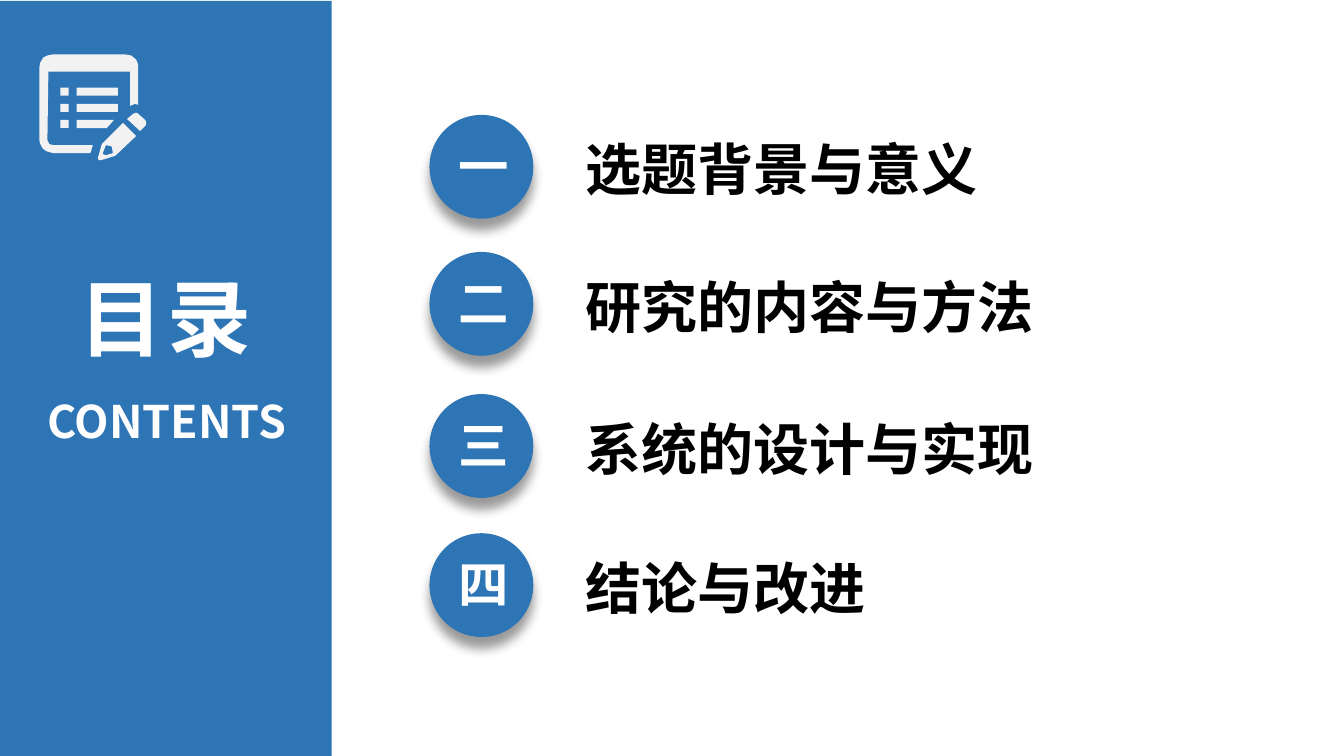
from lxml.etree import SubElement
from pptx import Presentation
from pptx.dml.color import RGBColor
from pptx.enum.shapes import MSO_SHAPE
from pptx.enum.text import MSO_ANCHOR, MSO_AUTO_SIZE, PP_ALIGN
from pptx.oxml.ns import qn
from pptx.util import Inches, Pt

COLORS = {"blue": "2E75B6", "white": "FFFFFF", "black": "000000", "icon": "F2F2F2"}
FONT = "Noto Sans CJK SC"
CHAPTERS = [
    ("一", "选题背景与意义", 1.14),
    ("二", "研究的内容与方法", 2.5),
    ("三", "系统的设计与实现", 3.91),
    ("四", "结论与改进", 5.29),
]
PAGE_FRAME = [
    (92, 144), (90, 151), (89, 152), (53, 152), (46, 150), (42, 147), (40, 143),
    (39, 139), (39, 67), (40, 62), (43, 57), (47, 55), (52, 54), (124, 54),
    (130, 55), (135, 59), (137, 64), (137, 104), (134, 103), (129, 105),
    (129, 71), (48, 71), (47, 139), (49, 143), (53, 144),
]
PENCIL_BODY = [
    (122, 122), (135, 135), (115, 154), (113, 155), (100, 159), (98, 159),
    (97, 157), (101, 143), (102, 142),
]
PENCIL_TIP = [
    (105, 144), (102, 152), (102, 153), (105, 154), (112, 152), (111, 146), (110, 145),
]
PENCIL_END = [
    (126, 118), (132, 113), (134, 112), (136, 112), (144, 119), (145, 121),
    (145, 123), (144, 125), (139, 130),
]
LAST_LINE = [(76, 119), (113, 119), (106, 127), (76, 127)]


def paint(shape, color):
    """Give a shape a plain fill without outline or inherited shadow."""
    shape.shadow.inherit = False
    shape.fill.solid()
    shape.fill.fore_color.rgb = RGBColor.from_string(COLORS[color])
    shape.line.fill.background()


def add_block(shapes, preset, box, color):
    """Add a filled preset shape at box, given in inches."""
    block = shapes.add_shape(preset, *map(Inches, box))
    paint(block, color)
    return block


def add_outline(shapes, *contours):
    """Add an icon part from closed contours in hundredths of an inch."""
    first, *holes = contours
    builder = shapes.build_freeform(*first[0], scale=Inches(0.01))
    builder.add_line_segments(first[1:], close=True)
    for hole in holes:
        builder.move_to(*hole[0])
        builder.add_line_segments(hole[1:], close=True)
    paint(builder.convert_to_shape(), "icon")


def add_icon(slide):
    """Draw the notepad with list lines and pencil."""
    icon = slide.shapes.add_group_shape().shapes
    add_outline(icon, PAGE_FRAME)
    add_outline(icon, PENCIL_BODY, PENCIL_TIP)
    add_outline(icon, PENCIL_END)
    add_outline(icon, LAST_LINE)
    for top in (0.87, 1.03):
        add_block(icon, MSO_SHAPE.RECTANGLE, (0.76, top, 0.41, 0.08), "icon")
    for top in (0.87, 1.03, 1.19):
        add_block(icon, MSO_SHAPE.RECTANGLE, (0.6, top, 0.08, 0.08), "icon")


def add_drop_shadow(shape):
    """Cast a soft black shadow straight down."""
    effects = shape._element.spPr.find(qn("a:effectLst"))
    shadow = SubElement(
        effects, qn("a:outerShdw"), blurRad=str(Pt(8)), dist=str(Pt(8)),
        dir="5400000", algn="t", rotWithShape="0",
    )
    black = SubElement(shadow, qn("a:srgbClr"), val=COLORS["black"])
    SubElement(black, qn("a:alpha"), val="40000")


def write(holder, text, size, color, align=PP_ALIGN.CENTER):
    """Write one bold paragraph into a text holder and return it."""
    frame = holder.text_frame
    frame.word_wrap = True
    frame.auto_size = MSO_AUTO_SIZE.SHAPE_TO_FIT_TEXT
    frame.vertical_anchor = MSO_ANCHOR.TOP
    paragraph = frame.paragraphs[0]
    paragraph.text = text
    paragraph.alignment = align
    font = paragraph.font
    font.name, font.size, font.bold = FONT, Pt(size), True
    font.color.rgb = RGBColor.from_string(COLORS[color])
    SubElement(paragraph._p.pPr.find(qn("a:defRPr")), qn("a:ea"), typeface=FONT)
    return paragraph


def add_label(slide, box, *style):
    """Add a text box at box, given in inches, and return its paragraph."""
    return write(slide.shapes.add_textbox(*map(Inches, box)), *style)


def add_heading(slide):
    """Place the title and its English subtitle on the side panel."""
    title = slide.shapes.title
    title.left, title.top, title.width, title.height = map(Inches, (0.45, 2.59, 2.38, 1.11))
    heading = write(title, "目录", 60, "white")
    heading._p.pPr.find(qn("a:defRPr")).set("spc", "300")
    subtitle = add_label(slide, (0.26, 3.59, 2.79, 0.91), "CONTENTS", 32, "white")
    subtitle.line_spacing = 1.5


def add_chapter(slide, numeral, name, top):
    """Add one numbered chapter of the contents."""
    badge = add_block(slide.shapes, MSO_SHAPE.OVAL, (4.26, top, 1.03, 1.03), "blue")
    add_drop_shadow(badge)
    add_label(slide, (4.43, top + 0.15, 0.74, 0.71), numeral, 36, "white")
    add_label(slide, (5.71, top + 0.15, 4.96, 0.77), name, 40, "black", PP_ALIGN.LEFT)


def main():
    """Build the contents slide."""
    deck = Presentation()
    deck.slide_width, deck.slide_height = Inches(13.33), Inches(7.5)
    slide = deck.slides.add_slide(deck.slide_layouts[5])
    panel = add_block(slide.shapes, MSO_SHAPE.RECTANGLE, (0, 0.01, 3.29, 7.5), "blue")
    slide.shapes.title._element.addprevious(panel._element)
    add_icon(slide)
    add_heading(slide)
    for chapter in CHAPTERS:
        add_chapter(slide, *chapter)
    deck.save("out.pptx")


if __name__ == "__main__":
    main()
